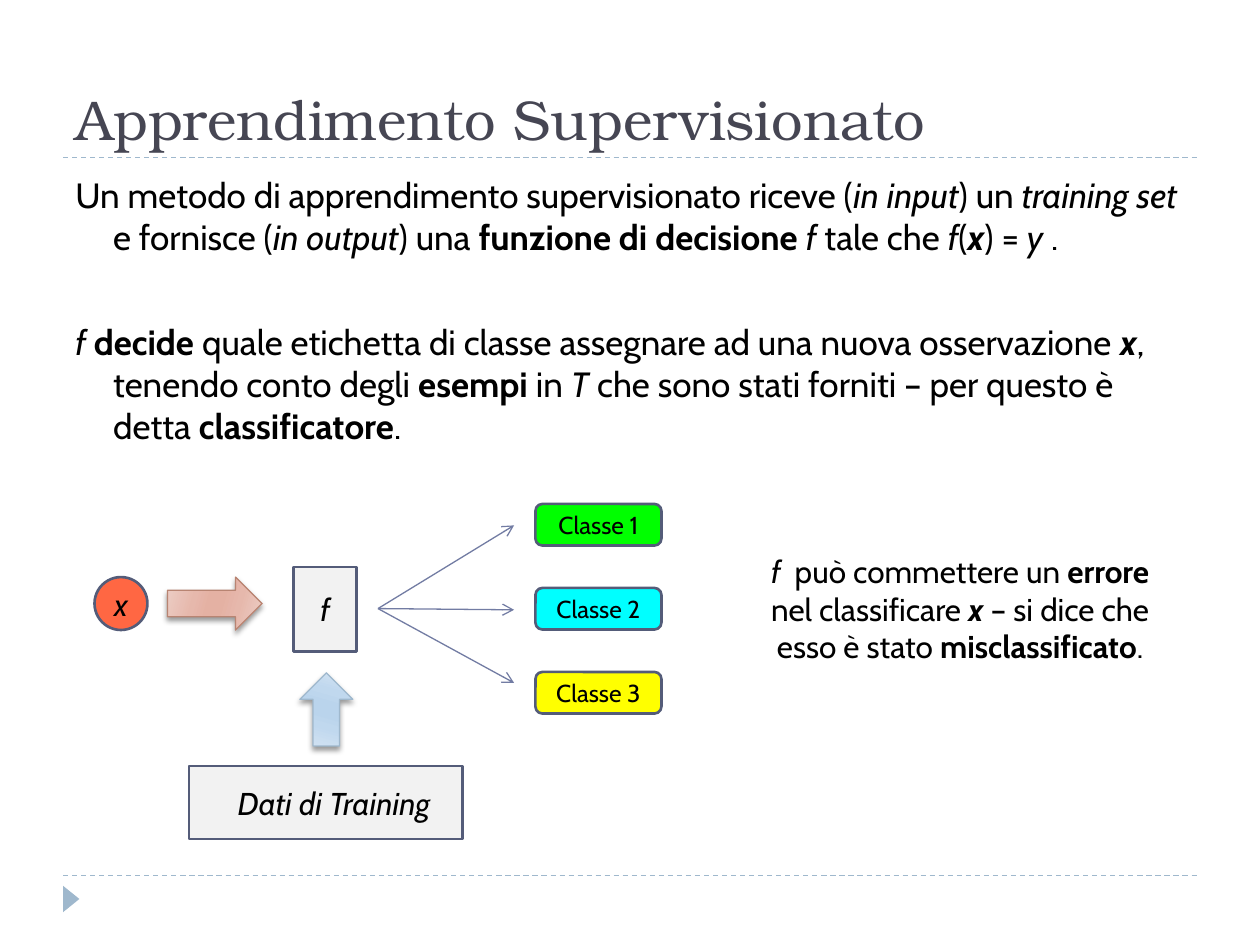
from lxml import etree
from pptx import Presentation
from pptx.dml.color import RGBColor
from pptx.enum.dml import MSO_LINE
from pptx.enum.shapes import MSO_CONNECTOR, MSO_SHAPE as Form
from pptx.enum.text import MSO_ANCHOR as Anchor, PP_ALIGN as Align
from pptx.oxml import parse_xml
from pptx.oxml.ns import nsdecls, qn
from pptx.util import Inches, Pt

SHADOW = """<a:effectLst %s><a:outerShdw blurRad="38100" dist="25400" dir="5400000"
 rotWithShape="0"><a:srgbClr val="000000"><a:alpha val="40000"/></a:srgbClr>
</a:outerShdw></a:effectLst>""" % nsdecls("a")
STOPS = (0, 30, 45, 55, 73, 100)


def tint(code):
    return RGBColor.from_string(code)


def write(frame, text, size=18, font="Cabin", color="000000", align=Align.LEFT,
          anchor=Anchor.TOP, hang=0, before=0, gap=0):
    """Write one paragraph per line; * toggles bold and _ toggles italic."""
    frame.word_wrap = True
    frame.vertical_anchor = anchor
    for row, line in enumerate(text.split("\n")):
        para = frame.add_paragraph() if row else frame.paragraphs[0]
        para.alignment = align
        para.space_before = Pt(gap if row else before)
        if hang:
            props = para._p.get_or_add_pPr()
            props.set("marL", str(Inches(hang)))
            props.set("indent", str(-Inches(hang)))
        slant = 0
        for bold, chunk in enumerate(line.split("*")):
            for turn, part in enumerate(chunk.split("_")):
                slant += turn > 0
                if not part:
                    continue
                run = para.add_run()
                run.text = part
                style = run.font
                style.name, style.size = font, Pt(size)
                style.color.rgb = tint(color)
                style.bold, style.italic = bold % 2 == 1, slant % 2 == 1


class Board:
    edge = "545C79"
    pale = "9FB8CD"

    def __init__(self, slide):
        self.slide = slide
        self.shapes = slide.shapes

    def text(self, box, text, **style):
        item = self.shapes.add_textbox(*map(Inches, box))
        write(item.text_frame, text, **style)

    def shape(self, form, box, fill, line=None, width=1.5, turn=0):
        item = self.shapes.add_shape(form, *map(Inches, box))
        item.shadow.inherit = False
        item.rotation = turn
        item.fill.solid()
        item.fill.fore_color.rgb = tint(fill)
        if line:
            item.line.color.rgb = tint(line)
            item.line.width = Pt(width)
        else:
            item.line.fill.background()
        return item

    def node(self, form, box, fill, text, size=18, left=0):
        item = self.shape(form, box, fill, self.edge)
        frame = item.text_frame
        frame.margin_left = Inches(left)
        frame.margin_right = frame.margin_top = frame.margin_bottom = 0
        write(frame, text, size=size, align=Align.CENTER, anchor=Anchor.MIDDLE)

    def block(self, box, shades, line, turn=0):
        """Draw a thick arrow with a mirrored gradient and a soft shadow."""
        item = self.shape(Form.RIGHT_ARROW, box, shades[0], line, 0.75, turn)
        item.fill.gradient()
        item.fill.gradient_angle = 344
        props = item._element.spPr
        stops = props.find(".//" + qn("a:gsLst"))
        for old in list(stops):
            stops.remove(old)
        for spot, shade in zip(STOPS, shades + shades[::-1]):
            stop = etree.SubElement(stops, qn("a:gs"), pos=str(spot * 1000))
            etree.SubElement(stop, qn("a:srgbClr"), val=shade)
        props.replace(props.find(qn("a:effectLst")), parse_xml(SHADOW))

    def line(self, start, end, color, dash=False, arrow=False):
        item = self.shapes.add_connector(
            MSO_CONNECTOR.STRAIGHT, *map(Inches, start + end))
        item.line.color.rgb = tint(color)
        item.line.width = Pt(0.75)
        if dash:
            item.line.dash_style = MSO_LINE.DASH
        if arrow:
            etree.SubElement(item.line._get_or_add_ln(), qn("a:tailEnd"), type="arrow")
        etree.SubElement(item._element.spPr, qn("a:effectLst"))


def main():
    deck = Presentation()
    deck.slide_width, deck.slide_height = Inches(10), Inches(7.5)
    board = Board(deck.slides.add_slide(deck.slide_layouts[6]))

    for y in (6.95, 1.25):
        board.line((0.5, y), (9.5, y), board.pale, dash=True)
    board.shape(Form.ISOSCELES_TRIANGLE, (0.46, 7.07, 0.21, 0.13), board.pale, turn=90)

    board.text((0.5, 0.17, 9, 1.08), "Apprendimento Supervisionato", size=32,
               font="TeX Gyre Bonum", color="464653", anchor=Anchor.BOTTOM)
    board.text(
        (0.5, 1.33, 9, 2.4),
        "Un metodo di apprendimento supervisionato riceve (_in input_) un "
        "_training set _e fornisce (_in output_) una *funzione di decisione *"
        "_f _tale che _f_(*_x_*) = _y _.\n"
        "_f _*decide *quale etichetta di classe assegnare ad una nuova "
        "osservazione *_x_*, tenendo conto degli *esempi* in _T_ che sono stati "
        "forniti – per questo è detta *classificatore*.",
        size=20, hang=0.3, before=6, gap=36)

    board.node(Form.OVAL, (0.75, 4.58, 0.42, 0.42), "FF6743", "_x_")
    board.node(Form.RECTANGLE, (2.33, 4.5, 0.5, 0.67), "F2F2F2", "_f_")
    board.node(Form.RECTANGLE, (1.5, 6.08, 2.17, 0.58), "F2F2F2",
               "_Dati di Training_", left=0.13)
    board.block((1.33, 4.58, 0.75, 0.42), ("ECCEC6", "E6B8AC", "E4B1A3"), "B88472")
    board.block((2.3, 5.42, 0.58, 0.42), ("D3E3F2", "C0D8EE", "BAD4EC"),
                board.pale, turn=270)

    classes = (("00FF00", 4.17), ("00FFFF", 4.84), ("FFFF00", 5.42))
    for row, (fill, tip) in enumerate(classes):
        board.line((3, 4.83), (4.08, tip), "727CA3", arrow=True)
        board.node(Form.ROUNDED_RECTANGLE, (4.25, 4 + row * 2 / 3, 1, 0.33), fill,
                   f"Classe {row + 1}", size=14)

    board.text(
        (5.83, 4.33, 3.58, 1.01),
        "_f  _può commettere un *errore* nel classificare *_x _*– si dice che "
        "esso è stato *misclassificato*.", align=Align.CENTER)
    deck.save("out.pptx")


if __name__ == "__main__":
    main()
